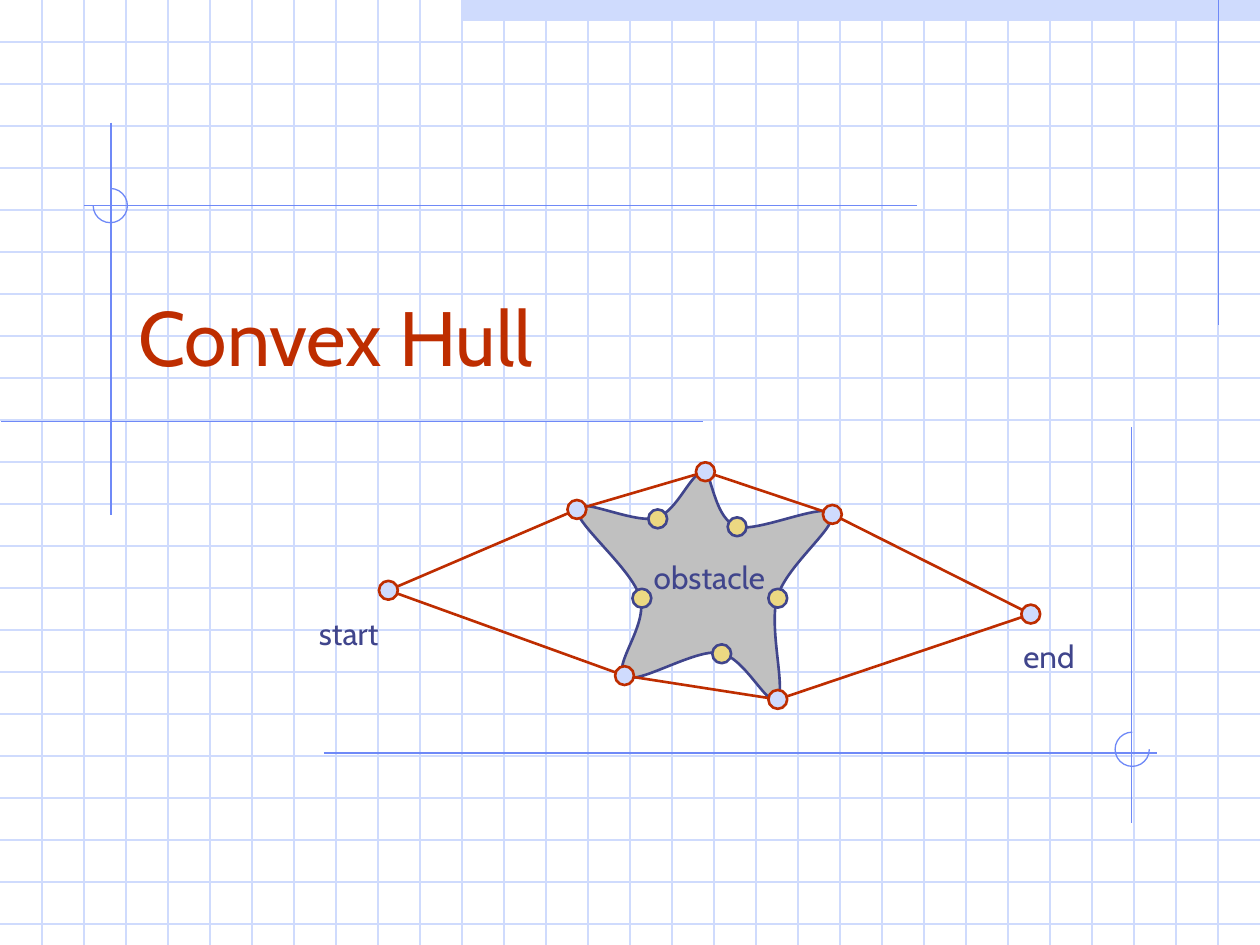
"""Build the convex hull slide: graph-paper background, title and hull diagram."""
import itertools

import pptx
import pptx.dml.color
import pptx.enum.shapes
import pptx.enum.text
import pptx.oxml.ns
import pptx.util
from lxml import etree

Cm = pptx.util.Cm
Pt = pptx.util.Pt
qn = pptx.oxml.ns.qn
SHAPE = pptx.enum.shapes.MSO_SHAPE
ALIGN = pptx.enum.text.PP_ALIGN
ANCHOR = pptx.enum.text.MSO_ANCHOR

WIDTH, HEIGHT = 25.4, 19.05
GRID = WIDTH / 30
NODE = 0.38

COLORS = {
    "pale": "CFDBFD",
    "guide": "6F89F7",
    "red": "BE2D00",
    "navy": "40458C",
    "yellow": "ECD882",
    "gray": "C0C0C0",
}

GUIDES = [
    (24.56, 0, 24.56, 6.55),
    (2.24, 2.47, 2.24, 10.39),
    (14.17, 8.49, 0.02, 8.49),
    (18.49, 4.14, 1.7, 4.14),
    (6.53, 15.18, 23.32, 15.18),
    (22.81, 8.61, 22.81, 16.59),
]
ARCS = [(1.88, 3.8, 270, 180), (22.48, 14.76, 0, 270)]

HULL = [(7.83, 11.9), (11.63, 10.27), (14.22, 9.51), (16.78, 10.37),
        (20.78, 12.38), (15.68, 14.1), (12.59, 13.62)]
INNER = [(14.86, 10.62), (12.94, 12.06), (15.68, 12.06), (14.55, 13.18), (13.26, 10.46)]

OBSTACLE_START = (14.22, 9.5)
OBSTACLE_CURVES = [
    ((13.94, 9.47), (13.67, 10.31), (13.23, 10.44)),
    ((12.8, 10.57), (11.68, 10.01), (11.63, 10.26)),
    ((11.58, 10.54), (12.75, 11.48), (12.9, 12.04)),
    ((13.08, 12.6), (12.32, 13.44), (12.6, 13.64)),
    ((12.85, 13.82), (14, 13.08), (14.5, 13.16)),
    ((15.01, 13.23), (15.47, 14.27), (15.67, 14.1)),
    ((15.85, 13.89), (15.49, 12.65), (15.67, 12.04)),
    ((15.85, 11.4), (16.92, 10.59), (16.76, 10.36)),
    ((16.64, 10.11), (15.27, 10.74), (14.86, 10.62)),
    ((14.43, 10.46), (14.38, 9.73), OBSTACLE_START),
]

TITLE = {"size": 44, "color": "red", "align": ALIGN.LEFT, "anchor": ANCHOR.BOTTOM, "wrap": True}
LABEL = {"size": 18, "color": "navy", "align": ALIGN.CENTER, "anchor": ANCHOR.TOP, "wrap": False}
TEXTS = [
    ("Convex Hull", (2.54, 4.65, 21.59, 3.18), TITLE),
    ("obstacle", (12.8, 11.13, 3, 1.02), LABEL),
    ("start", (6.09, 12.26, 1.88, 1.02), LABEL),
    ("end", (20.32, 12.71, 1.65, 1.02), LABEL),
]


def rgb(name):
    """Return the named palette colour."""
    return pptx.dml.color.RGBColor.from_string(COLORS[name])


def style(sp, fill=None, line=None, width=1.5):
    """Set fill and outline, leaving out whichever is not named."""
    sp.shadow.inherit = False
    for part, color in ((sp.fill, fill), (sp.line.fill, line)):
        if color:
            part.solid()
            part.fore_color.rgb = rgb(color)
        else:
            part.background()
    if line:
        sp.line.width = Pt(width)


def add_line(s, ends, color, width=0.75):
    """Draw a straight line between two points."""
    kind = pptx.enum.shapes.MSO_CONNECTOR.STRAIGHT
    line = s.shapes.add_connector(kind, *map(Cm, ends))
    line.line.color.rgb = rgb(color)
    line.line.width = Pt(width)
    etree.SubElement(line._element.spPr, qn("a:effectLst"))


def add_shape(s, kind, box, **look):
    """Draw a styled preset shape."""
    sp = s.shapes.add_shape(kind, *map(Cm, box))
    style(sp, **look)
    return sp


def add_arc(s, left, top, start, end):
    """Draw a three-quarter circle clockwise between two angles in degrees."""
    sp = add_shape(s, SHAPE.ARC, (left, top, 0.69, 0.69), line="guide", width=0.75)
    for i, angle in enumerate((start, end)):
        sp.adjustments[i] = angle * 0.6


def add_node(s, center, fill, line):
    """Draw a round node about its centre."""
    x, y = center
    add_shape(s, SHAPE.OVAL, (x - NODE / 2, y - NODE / 2, NODE, NODE), fill=fill, line=line)


def bend(sp):
    """Turn every three straight segments of a freeform into one cubic curve."""
    segments = list(sp._element.iter(qn("a:lnTo")))
    for i in range(0, len(segments), 3):
        curve = etree.Element(qn("a:cubicBezTo"))
        segments[i].addprevious(curve)
        for segment in segments[i:i + 3]:
            curve.append(segment[0])
            segment.getparent().remove(segment)


def add_obstacle(s):
    """Draw the curved star that the hull wraps."""
    builder = s.shapes.build_freeform(*map(Cm, OBSTACLE_START))
    points = itertools.chain.from_iterable(OBSTACLE_CURVES)
    builder.add_line_segments([(Cm(x), Cm(y)) for x, y in points], close=True)
    sp = builder.convert_to_shape()
    bend(sp)
    style(sp, fill="gray", line="navy")


def add_text(s, text, box, look):
    """Place a one-line text box."""
    tf = s.shapes.add_textbox(*map(Cm, box)).text_frame
    for name, value in {"word_wrap": look["wrap"], "vertical_anchor": look["anchor"]}.items():
        setattr(tf, name, value)
    p = tf.paragraphs[0]
    p.alignment = look["align"]
    r = p.add_run()
    r.text = text
    for name, value in {"name": "Cabin", "size": Pt(look["size"])}.items():
        setattr(r.font, name, value)
    r.font.color.rgb = rgb(look["color"])


def add_background(s):
    """Draw the top band, the grid and the guide marks."""
    add_shape(s, SHAPE.RECTANGLE, (11 * GRID, 0, 19 * GRID, GRID / 2), fill="pale")
    for i in range(1, 23):
        add_line(s, (0, i * GRID, WIDTH, i * GRID), "pale")
    for i in range(1, 30):
        add_line(s, (i * GRID, 0, i * GRID, HEIGHT), "pale")
    for ends in GUIDES:
        add_line(s, ends, "guide")
    for arc in ARCS:
        add_arc(s, *arc)


def add_diagram(s):
    """Draw the obstacle, its hull and the nodes of both."""
    add_obstacle(s)
    for start, end in itertools.pairwise(HULL + HULL[:1]):
        add_line(s, start + end, "red", 1.5)
    for center in HULL:
        add_node(s, center, "pale", "red")
    for center in INNER:
        add_node(s, center, "yellow", "navy")


def main():
    """Build and save the slide."""
    prs = pptx.Presentation()
    prs.slide_width, prs.slide_height = Cm(WIDTH), Cm(HEIGHT)
    s = prs.slides.add_slide(prs.slide_layouts[6])
    add_background(s)
    add_diagram(s)
    for item in TEXTS:
        add_text(s, *item)
    prs.save("out.pptx")


if __name__ == "__main__":
    main()
